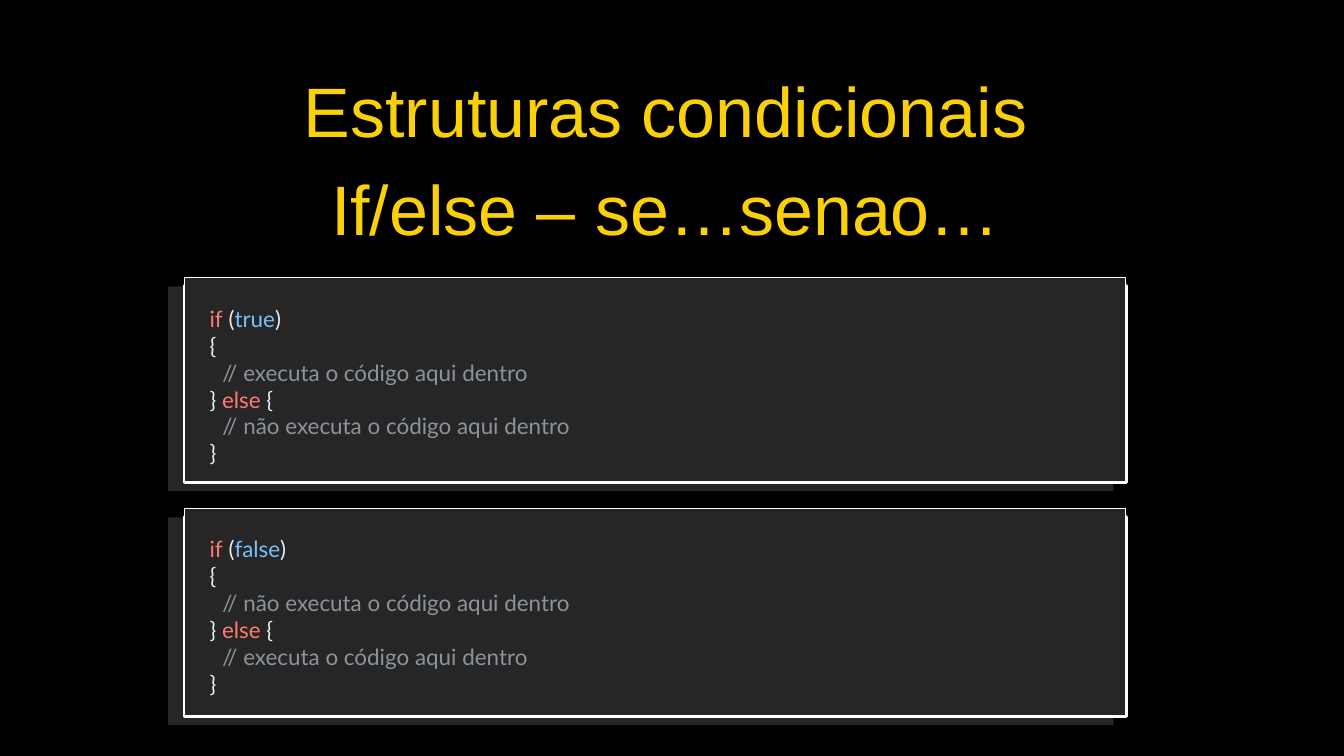
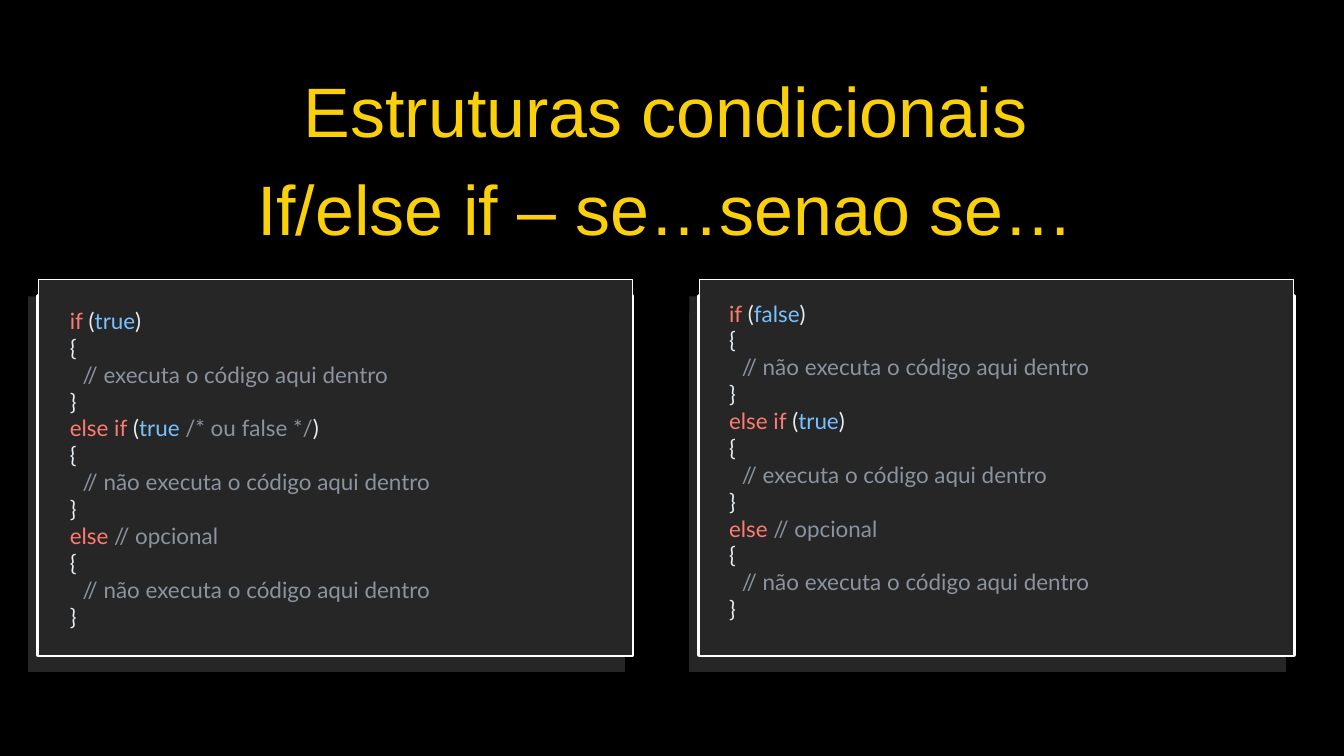
from pptx import Presentation
from pptx.dml.color import RGBColor
from pptx.enum.shapes import MSO_SHAPE
from pptx.enum.text import MSO_AUTO_SIZE, PP_ALIGN
from pptx.util import Pt

RECT = MSO_SHAPE.RECTANGLE
CENTER = PP_ALIGN.CENTER
GROW = MSO_AUTO_SIZE.SHAPE_TO_FIT_TEXT
PX = 9144

COLORS = {
    "background": "000000",
    "title": "FAD00A",
    "panel": "262626",
    "border": "FFFFFF",
    "keyword": "FF7B72",
    "literal": "79C0FF",
    "comment": "8B949E",
    "plain": "E6EDF3",
}

TITLE_BOX = (103, 80, 1775, 280)
CODE_W = 1478
CODE_INDENT = 19

OPEN = [("plain", "{")]
CLOSE = [("plain", "}")]
RUNS = [("comment", "// executa o código aqui dentro")]
SKIPS = [("comment", "// não executa o código aqui dentro")]
CLOSE_ELSE = [("plain", "} "), ("keyword", "else"), ("plain", " {")]
ELSE_OPTIONAL = [("keyword", "else"), ("comment", " // opcional")]


def condition(keyword, value, *note):
    return [("keyword", keyword), ("plain", " ("), ("literal", value), *note, ("plain", ")")]


IF_TRUE = condition("if", "true")
IF_FALSE = condition("if", "false")
ELSE_IF = condition("else if", "true")
ELSE_IF_ANY = condition("else if", "true", ("comment", " /* ou false */"))

SLIDES = [
    {
        "title": ["Estruturas condicionais", "If/else – se…senao…"],
        "lip": 14, "shift": 25, "widen": 7, "code_h": 252,
        "panels": [
            {"box": (275, 412, 1400, 305), "code_at": (302, 449),
             "code": [IF_TRUE, OPEN, RUNS, CLOSE_ELSE, SKIPS, CLOSE]},
            {"box": (275, 756, 1400, 309), "code_at": (302, 792),
             "code": [IF_FALSE, OPEN, SKIPS, CLOSE_ELSE, RUNS, CLOSE]},
        ],
    },
    {
        "title": ["Estruturas condicionais", "If/else if – se…senao se…"],
        "lip": 25, "shift": 15, "widen": 4, "code_h": 495,
        "panels": [
            {"box": (57, 416, 884, 559), "code_at": (94, 452),
             "code": [IF_TRUE, OPEN, RUNS, CLOSE, ELSE_IF_ANY, OPEN, SKIPS, CLOSE,
                      ELSE_OPTIONAL, OPEN, SKIPS, CLOSE]},
            {"box": (1041, 416, 884, 559), "code_at": (1075, 441),
             "code": [IF_FALSE, OPEN, SKIPS, CLOSE, ELSE_IF, OPEN, RUNS, CLOSE,
                      ELSE_OPTIONAL, OPEN, SKIPS, CLOSE]},
        ],
    },
]


def color(name):
    return RGBColor.from_string(COLORS[name])


def paint(sp, line_pt):
    sp.shadow.inherit = False
    sp.fill.solid()
    sp.fill.fore_color.rgb = color("panel")
    if line_pt:
        sp.line.color.rgb = color("border")
        sp.line.width = Pt(line_pt)
    else:
        sp.line.fill.background()


def add_card(shapes, x, y, w, h, lip, outline_pt=0, edge_pt=0):
    top, right, bottom = y + lip, x + w, y + h
    builder = shapes.build_freeform(x, top, scale=PX)
    builder.add_line_segments([(right, top), (right, bottom), (x, bottom)], close=True)
    paint(builder.convert_to_shape(), outline_pt)
    paint(shapes.add_shape(RECT, x * PX, y * PX, w * PX, h * PX), edge_pt)


def add_panel(s, box, lip, shift, widen):
    x, y, w, h = box
    shapes = s.shapes.add_group_shape().shapes
    add_card(shapes, x - shift, y + lip, w + widen, h, lip)
    add_card(shapes, x, y, w, h, lip, 4.5, 0.75)


def add_text_frame(s, box):
    tf = s.shapes.add_textbox(*(v * PX for v in box)).text_frame
    tf.word_wrap = True
    tf.auto_size = GROW
    return tf


def paragraphs(tf, lines):
    for i, line in enumerate(lines):
        yield (tf.add_paragraph() if i else tf.paragraphs[0]), line


def add_run(p, text, font, size, color_name):
    r = p.add_run()
    r.text = text
    r.font.name = font
    r.font.size = Pt(size)
    r.font.color.rgb = color(color_name)


def add_title(s, lines):
    tf = add_text_frame(s, TITLE_BOX)
    tf.margin_left = tf.margin_top = tf.margin_right = tf.margin_bottom = 0
    for p, line in paragraphs(tf, lines):
        p.alignment = CENTER
        p.line_spacing = Pt(105)
        add_run(p, line, "Arial", 75, "title")


def add_code(s, at, height, lines):
    tf = add_text_frame(s, (*at, CODE_W, height))
    for p, line in paragraphs(tf, lines):
        if line[0][0] == "comment":
            p._p.get_or_add_pPr().set("marL", str(CODE_INDENT * PX))
        for kind, text in line:
            add_run(p, text, "Lato", 24, kind)


def main():
    prs = Presentation()
    prs.slide_width = 2000 * PX
    prs.slide_height = 1125 * PX
    for content in SLIDES:
        s = prs.slides.add_slide(prs.slide_layouts[6])
        s.background.fill.solid()
        s.background.fill.fore_color.rgb = color("background")
        add_title(s, content["title"])
        for panel in content["panels"]:
            add_panel(s, panel["box"], content["lip"], content["shift"], content["widen"])
            add_code(s, panel["code_at"], content["code_h"], panel["code"])
    prs.save("out.pptx")


if __name__ == "__main__":
    main()
